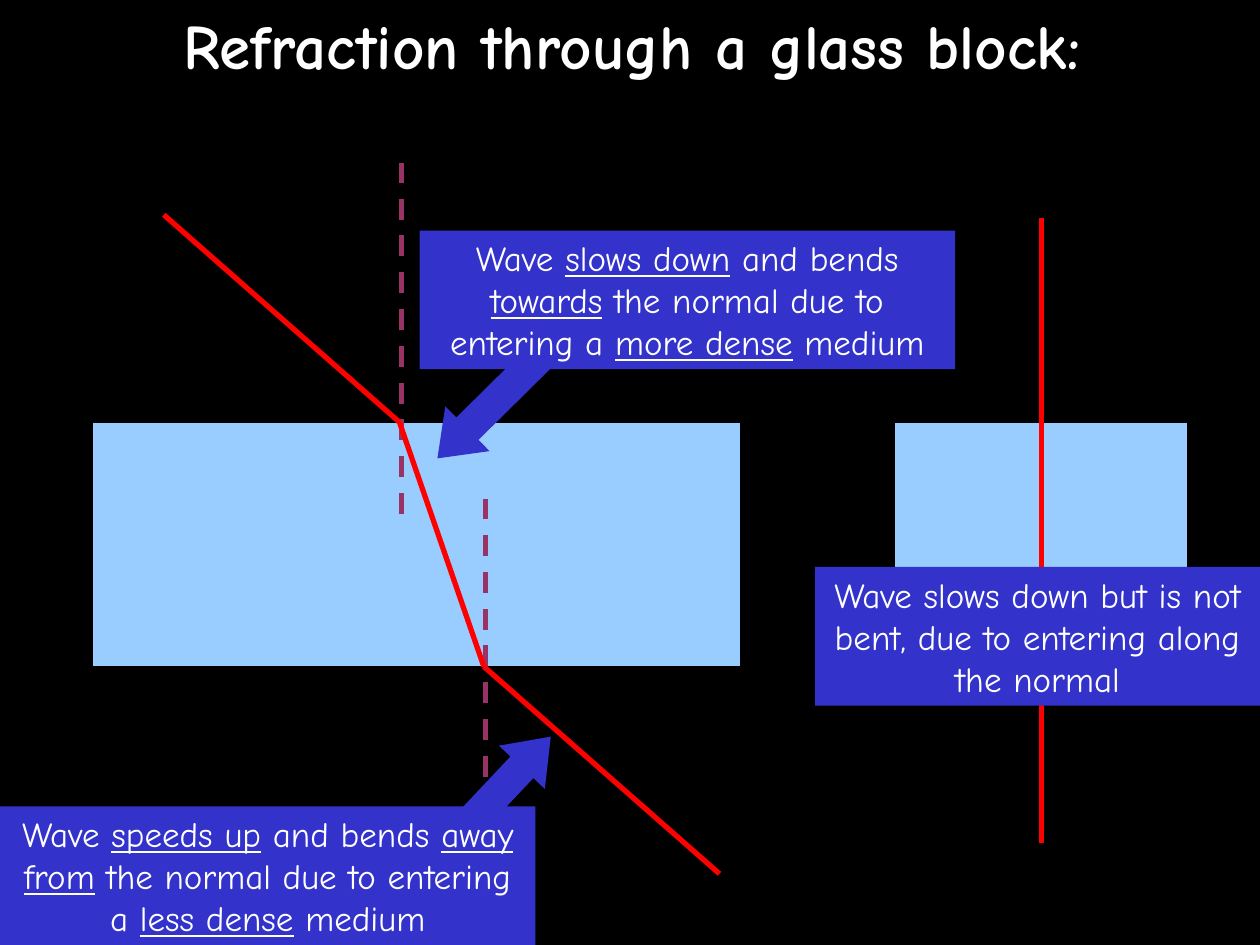
from collections import namedtuple
from dataclasses import dataclass

from pptx import Presentation
from pptx.dml.color import RGBColor
from pptx.enum.dml import MSO_LINE
from pptx.enum.shapes import MSO_CONNECTOR, MSO_SHAPE
from pptx.enum.text import MSO_ANCHOR, PP_ALIGN
from pptx.util import Inches, Pt
from lxml.etree import SubElement
from pptx.oxml.ns import qn

# Grid of 100 columns by 75 rows on a 10 x 7.5 inch slide
COLS, ROWS = 100, 75
SLIDE_W, SLIDE_H = Inches(10), Inches(7.5)
Box = namedtuple("Box", "x y w h")


@dataclass(frozen=True)
class Theme:
    back: str = "000000"
    text: str = "FFFFFF"
    glass: str = "99CCFF"
    normal: str = "993366"
    ray: str = "FF0000"
    note: str = "3333CC"
    font: str = "Comic Neue"
    title_size: int = 36
    note_size: int = 20
    edge_width: float = 0.75
    ray_width: int = 3


THEME = Theme()


def rgb(value):
    return RGBColor.from_string(value)


def col(n):
    return round(SLIDE_W * n / COLS)


def row(n):
    return round(SLIDE_H * n / ROWS)


def place(box):
    return col(box.x), row(box.y), col(box.w), row(box.h)


def add_solid(s, kind, box, color, edge=None):
    sp = s.shapes.add_shape(kind, *place(box))
    sp.shadow.inherit = False
    sp.fill.solid()
    sp.fill.fore_color.rgb = rgb(color)
    if edge:
        sp.line.color.rgb = rgb(edge)
        sp.line.width = Pt(THEME.edge_width)
    else:
        sp.line.fill.background()
    return sp


def add_line(s, start, end, color, dash=None):
    line = s.shapes.add_connector(MSO_CONNECTOR.STRAIGHT, col(start[0]), row(start[1]),
                                  col(end[0]), row(end[1]))
    formats = {"width": Pt(THEME.ray_width), "dash_style": dash}
    for name, value in formats.items():
        setattr(line.line, name, value)
    line.line.color.rgb = rgb(color)
    SubElement(line._element.spPr, qn("a:effectLst"))


def write(sp, text, size, bold=False):
    """Fill a shape with centred text; parts between underscores are underlined."""
    tf = sp.text_frame
    frame = {"word_wrap": True, "vertical_anchor": MSO_ANCHOR.TOP,
             "margin_left": Inches(0.1), "margin_right": Inches(0.1),
             "margin_top": Inches(0.05), "margin_bottom": Inches(0.05)}
    for name, value in frame.items():
        setattr(tf, name, value)
    p = tf.paragraphs[0]
    p.alignment = PP_ALIGN.CENTER
    for i, part in enumerate(text.split("_")):
        r = p.add_run()
        r.text = part
        font = {"name": THEME.font, "size": Pt(size), "bold": bold, "underline": i % 2 == 1}
        for name, value in font.items():
            setattr(r.font, name, value)
        r.font.color.rgb = rgb(THEME.text)


def add_title(s, box, text):
    sp = s.shapes.title
    sp.left, sp.top, sp.width, sp.height = place(box)
    write(sp, text, THEME.title_size, bold=True)


def add_glass(s, box):
    add_solid(s, MSO_SHAPE.RECTANGLE, box, THEME.glass, THEME.back)


def add_bent_ray(s, box):
    """Glass block with a ray bending at both faces, and the two normals."""
    add_glass(s, box)
    enter = (box.x + 24.4, box.y)
    leave = (box.x + 31.1, box.y + box.h)
    # Normals, drawn upwards through each face
    for (x, y), below, above in ((enter, 7.3, 20.6), (leave, 14.6, 13.3)):
        add_line(s, (x + 0.15, y + below), (x + 0.15, y - above),
                 THEME.normal, MSO_LINE.DASH)
    # Incoming, inner and outgoing rays
    run, rise = 18.7, 16.45
    points = [(enter[0] - run, enter[1] - rise), enter, leave,
              (leave[0] + run, leave[1] + rise)]
    for start, end in zip(points, points[1:]):
        add_line(s, start, end, THEME.ray)


def add_straight_ray(s, box):
    """Glass block with a ray passing straight along the normal."""
    add_glass(s, box)
    x = box.x + box.w / 2
    add_line(s, (x, box.y - 16.2), (x, box.y + box.h + 14), THEME.ray)


def add_note(s, box, text, arrow=None):
    """Note box; arrow is (dx, dy, rotation) measured from the box corner."""
    if arrow:
        dx, dy, turn = arrow
        sp = add_solid(s, MSO_SHAPE.LEFT_ARROW,
                       Box(box.x + dx, box.y + dy, 13.3, 5), THEME.note)
        sp.adjustments[0], sp.adjustments[1] = 0.5, 0.67
        sp.rotation = turn
    sp = add_solid(s, MSO_SHAPE.RECTANGLE, box, THEME.note)
    write(sp, text, THEME.note_size)


def main():
    prs = Presentation()
    prs.slide_width, prs.slide_height = SLIDE_W, SLIDE_H
    s = prs.slides.add_slide(prs.slide_layouts[5])
    s.background.fill.solid()
    s.background.fill.fore_color.rgb = rgb(THEME.back)

    add_title(s, Box(6.7, 0, 86.9, 7), "Refraction through a glass block:")

    # The two blocks share one row
    top, height = 33.5, 19.4
    add_bent_ray(s, Box(7.3, top, 51.5, height))
    add_straight_ray(s, Box(71, top, 23.3, height))

    # Notes
    add_note(s, Box(33.3, 18.3, 42.5, 11),
             "Wave _slows down_ and bends _towards_ the normal due to "
             "entering a _more dense_ medium", (-0.5, 10.9, 315.3))
    add_note(s, Box(0, 64, 42.5, 11),
             "Wave _speeds up_ and bends _away from_ the normal due to "
             "entering a _less dense_ medium", (32.5, -3.2, 133.3))
    add_note(s, Box(64.7, 45, 35.3, 11),
             "Wave slows down but is not bent, due to entering along the normal")

    prs.save("out.pptx")


if __name__ == "__main__":
    main()
